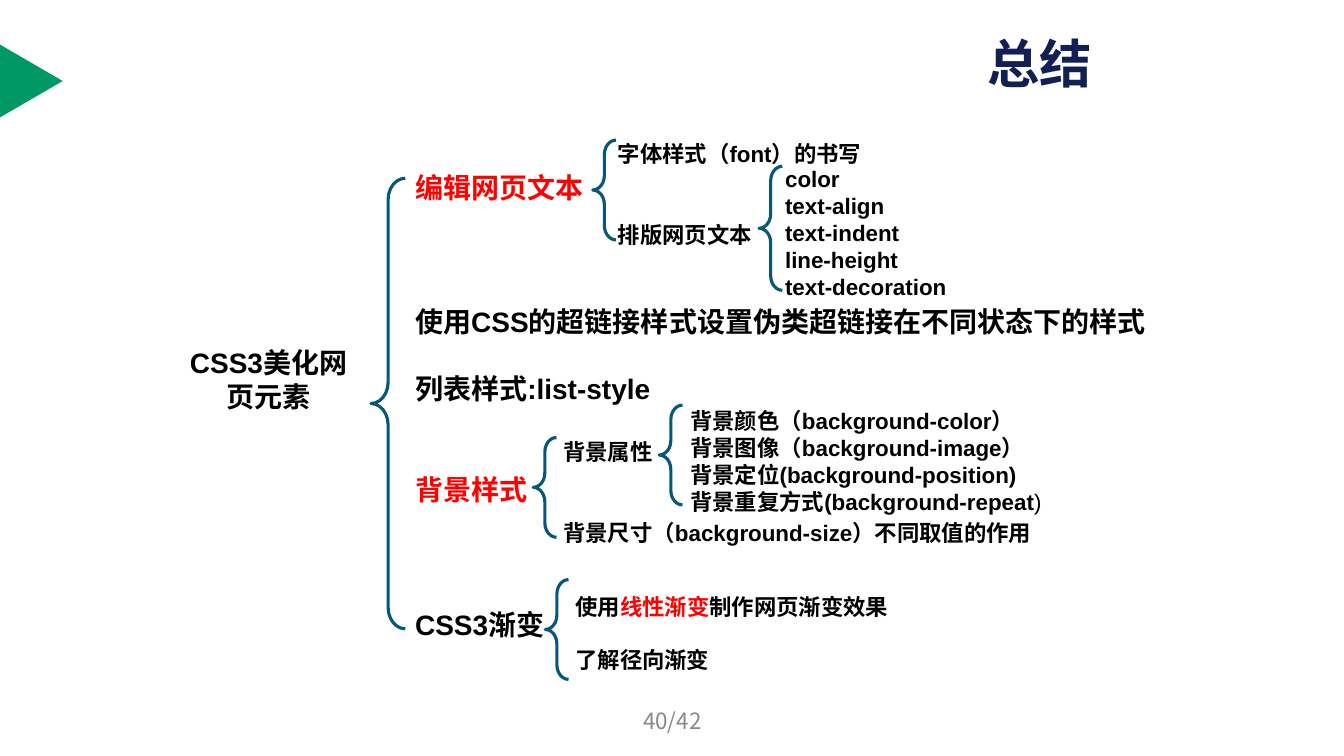
from typing import NamedTuple

from lxml import etree
from pptx import Presentation
from pptx import util as u
from pptx.dml.color import RGBColor
from pptx.enum import shapes, text
from pptx.oxml.ns import qn

BLACK, RED, NAVY, GREY = "000000", "FF0000", "121F55", "898989"
TEAL, GREEN = "08577A", "009966"
LATIN, CJK = "Arial", "Noto Sans CJK SC"
TOPIC_SIZE, DETAIL_SIZE = 20, 16
TOPIC_LINE, DETAIL_LINE = 24, 19.3  # line heights, for gaps in whole lines


class Run(NamedTuple):
    words: str
    color: str | None = None
    bold: bool | None = None


class Line(NamedTuple):
    runs: tuple[Run, ...]
    gap: float = 0
    color: str = BLACK


class Block(NamedTuple):
    left: float
    top: float
    width: float
    height: float
    lines: list[Line]
    size: float = DETAIL_SIZE
    font: str = LATIN
    bold: bool = True
    align: text.PP_ALIGN = text.PP_ALIGN.LEFT
    anchor: text.MSO_ANCHOR = text.MSO_ANCHOR.TOP


class Brace(NamedTuple):
    left: float
    top: float
    width: float = 16.6
    height: float = 71.3


def rgb(color: str) -> RGBColor:
    return RGBColor.from_string(color)


def line(words: str, gap: float = 0, color: str = BLACK) -> Line:
    return Line((Run(words),), gap, color)


def draw_block(slide, block: Block) -> None:
    box = slide.shapes.add_textbox(*map(u.Pt, block[:4]))
    frame = box.text_frame
    frame.word_wrap = True
    frame.vertical_anchor = block.anchor
    for index, entry in enumerate(block.lines):
        paragraph = frame.add_paragraph() if index else frame.paragraphs[0]
        paragraph.alignment = block.align
        paragraph.space_before = u.Pt(entry.gap)
        font = paragraph.font
        font.size, font.bold, font.name = u.Pt(block.size), block.bold, block.font
        font.color.rgb = rgb(entry.color)
        # East Asian typeface
        defaults = paragraph._p.pPr.find(qn("a:defRPr"))
        etree.SubElement(defaults, qn("a:ea"), typeface=CJK)
        for part in entry.runs:
            run = paragraph.add_run()
            run.text = part.words
            if part.color:
                run.font.color.rgb = rgb(part.color)
            if part.bold is not None:
                run.font.bold = part.bold


def draw_brace(slide, brace: Brace) -> None:
    shape = slide.shapes.add_shape(shapes.MSO_SHAPE.LEFT_BRACE, *map(u.Pt, brace))
    shape.shadow.inherit = False
    shape.adjustments[0] = 0.62
    shape.fill.background()
    shape.line.color.rgb = rgb(TEAL)
    shape.line.width = u.Pt(2.25)


def draw_marker(slide) -> None:
    marker = slide.shapes.add_shape(
        shapes.MSO_SHAPE.ISOSCELES_TRIANGLE, u.Pt(-3.6), u.Pt(35.5), u.Pt(52), u.Pt(44.8))
    marker.rotation = 90
    marker.shadow.inherit = False
    marker.fill.solid()
    marker.fill.fore_color.rgb = rgb(GREEN)
    marker.line.fill.background()


BLOCKS = [
    # Title
    Block(698.4, 21.6, 105.8, 46, [line("总结", color=NAVY)], 37.4, CJK,
          anchor=text.MSO_ANCHOR.MIDDLE),
    # Root and main topics
    Block(120.2, 243.4, 143.3, 55.4, [line("CSS3美化网页元素")], TOPIC_SIZE,
          align=text.PP_ALIGN.CENTER),
    Block(289.4, 118.1, 542.2, 346.3, [
        line("编辑网页文本", color=RED),
        line("使用CSS的超链接样式设置伪类超链接在不同状态下的样式", 3 * TOPIC_LINE),
        line("列表样式:list-style", TOPIC_LINE),
        line("背景样式", 2 * TOPIC_LINE, RED),
        line("CSS3渐变", 3 * TOPIC_LINE),
    ], TOPIC_SIZE),
    # Text editing
    Block(434.2, 96.5, 250.6, 104.4, [
        line("字体样式（font）的书写"),
        line("排版网页文本", 2 * DETAIL_LINE),
    ]),
    Block(553.7, 114.5, 159.8, 104.4, [
        line(name) for name in
        ("color", "text-align", "text-indent", "line-height", "text-decoration")
    ]),
    # Backgrounds
    Block(395.3, 309.6, 391, 85, [
        line("背景属性"),
        line("背景尺寸（background-size）不同取值的作用", 2 * DETAIL_LINE),
    ]),
    Block(486, 287.3, 283.7, 85, [
        line("背景颜色（background-color）"),
        line("背景图像（background-image）"),
        line("背景定位(background-position)"),
        Line((Run("背景重复方式(background-repeat"), Run(")", bold=False))),
    ]),
    # Gradients
    Block(403.9, 419.8, 245.5, 65.5, [
        Line((Run("使用"), Run("线性渐变", RED), Run("制作网页渐变效果"))),
        line("了解径向渐变", DETAIL_LINE),
    ]),
    # Page number
    Block(328.3, 500.4, 303.8, 28.8, [line("40/42", color=GREY)], 16, CJK, False,
          text.PP_ALIGN.CENTER, text.MSO_ANCHOR.MIDDLE),
]

BRACES = [
    Brace(265, 127.4, 24.5, 321.8),  # all topics
    Brace(423.4, 100.1),  # text editing
    Brace(542.2, 118.8, height=88.6),  # text layout
    Brace(380.9, 312.5),  # background styles
    Brace(470.9, 289.4),  # background properties
    Brace(389.5, 414),  # gradients
]


def main() -> None:
    deck = Presentation()
    deck.slide_width, deck.slide_height = u.Pt(960), u.Pt(540)
    slide = deck.slides.add_slide(deck.slide_layouts[6])
    draw_marker(slide)
    for brace in BRACES:
        draw_brace(slide, brace)
    for block in BLOCKS:
        draw_block(slide, block)
    deck.save("out.pptx")


if __name__ == "__main__":
    main()
